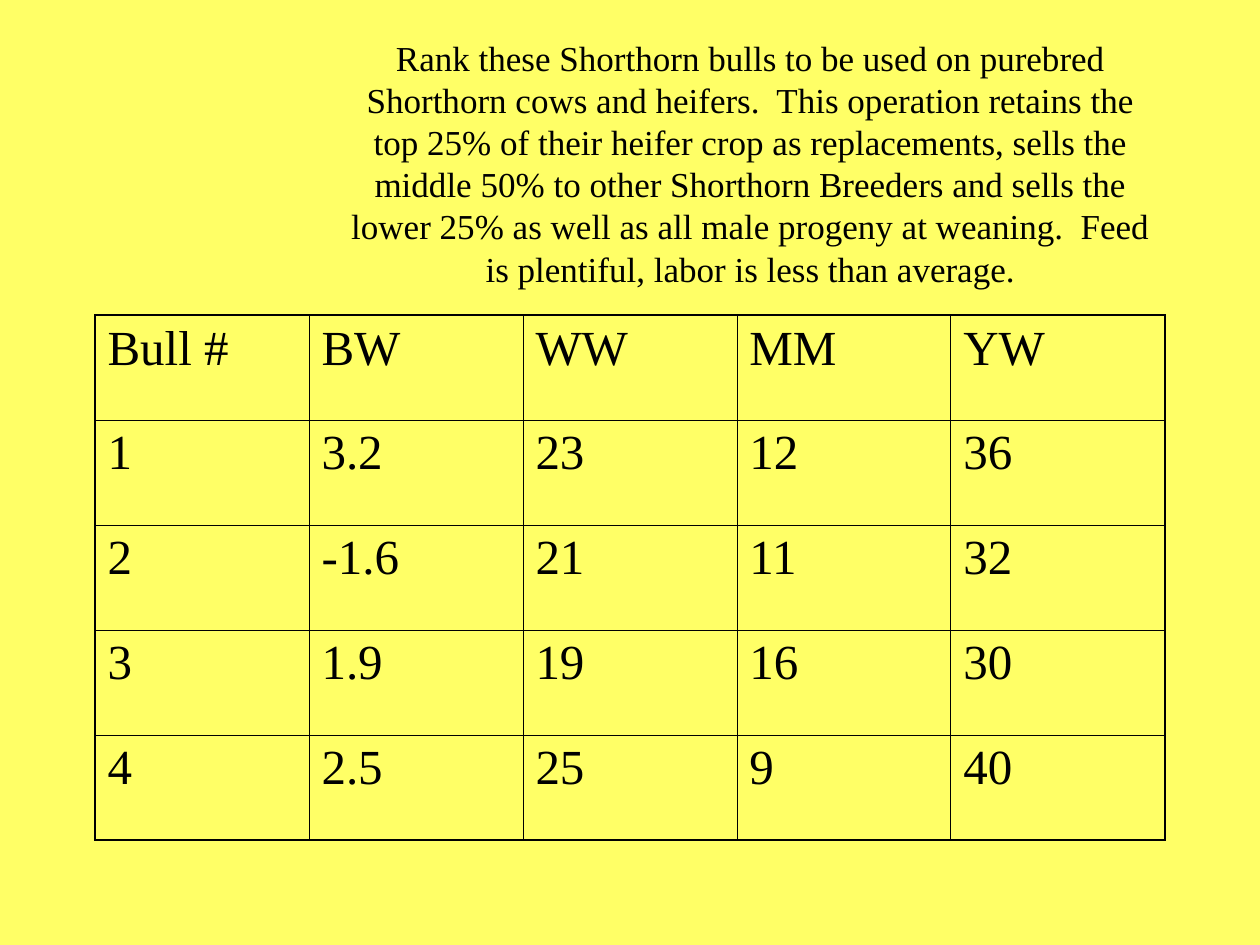
from dataclasses import dataclass

from lxml import etree
from pptx import Presentation
from pptx import util as u
from pptx.dml.color import RGBColor
from pptx.enum import text
from pptx.oxml import ns

SCALE = 914400 / 126


@dataclass(frozen=True)
class Theme:
    background: str = "FFFF66"
    ink: str = "000000"
    font: str = "Times New Roman"
    title_size: int = 20
    title_leading: int = 24
    cell_size: int = 28
    outer_line: float = 1.08
    inner_line: float = 0.45


THEME = Theme()

SCENARIO = (
    "Rank these Shorthorn bulls to be used on purebred Shorthorn cows and heifers.  "
    "This operation retains the top 25% of their heifer crop as replacements, "
    "sells the middle 50% to other Shorthorn Breeders and sells the lower 25% "
    "as well as all male progeny at weaning.  "
    "Feed is plentiful, labor is less than average."
)

BULLS = [
    ["Bull #", "BW", "WW", "MM", "YW"],
    ["1", "3.2", "23", "12", "36"],
    ["2", "-1.6", "21", "11", "32"],
    ["3", "1.9", "19", "16", "30"],
    ["4", "2.5", "25", "9", "40"],
]


def px(length):
    return u.Emu(round(length * SCALE))


def style_font(paragraph, size):
    paragraph.font.name = THEME.font
    paragraph.font.size = u.Pt(size)
    paragraph.font.color.rgb = RGBColor.from_string(THEME.ink)


def add_title(slide, left, top, width, height):
    title = slide.shapes.title
    title.left, title.top = px(left), px(top)
    title.width, title.height = px(width), px(height)
    frame = title.text_frame
    frame.text = SCENARIO
    frame.word_wrap = True
    frame.auto_size = text.MSO_AUTO_SIZE.NONE
    frame.vertical_anchor = text.MSO_ANCHOR.MIDDLE
    paragraph = frame.paragraphs[0]
    paragraph.alignment = text.PP_ALIGN.CENTER
    paragraph.line_spacing = u.Pt(THEME.title_leading)
    style_font(paragraph, THEME.title_size)


def set_borders(cell, outer_sides):
    properties = cell._tc.get_or_add_tcPr()
    for position, side in enumerate("LRTB"):
        points = THEME.outer_line if side in outer_sides else THEME.inner_line
        line = etree.Element(ns.qn(f"a:ln{side}"), w=str(u.Pt(points)))
        fill = etree.SubElement(line, ns.qn("a:solidFill"))
        etree.SubElement(fill, ns.qn("a:srgbClr"), val=THEME.ink)
        properties.insert(position, line)


def add_bull_table(slide, left, top, column_width, row_height):
    row_count, column_count = len(BULLS), len(BULLS[0])
    table = slide.shapes.add_table(
        row_count, column_count, px(left), px(top),
        px(column_width * column_count), px(row_height * row_count),
    ).table
    table.first_row = False
    table.horz_banding = False
    for column in table.columns:
        column.width = px(column_width)
    for row in table.rows:
        row.height = px(row_height)
    for r, values in enumerate(BULLS):
        for c, value in enumerate(values):
            cell = table.cell(r, c)
            cell.text = value
            cell.fill.background()
            style_font(cell.text_frame.paragraphs[0], THEME.cell_size)
            edges = {"L": c == 0, "R": c == column_count - 1,
                     "T": r == 0, "B": r == row_count - 1}
            set_borders(cell, [side for side, outer in edges.items() if outer])


def main():
    deck = Presentation()
    deck.slide_width, deck.slide_height = px(1260), px(945)
    page = deck.slides.add_slide(deck.slide_layouts[5])
    page.background.fill.solid()
    page.background.fill.fore_color.rgb = RGBColor.from_string(THEME.background)
    add_title(page, 336, 84, 829, 158)
    add_bull_table(page, 95, 315, 214, 105)
    deck.save("out.pptx")


if __name__ == "__main__":
    main()
